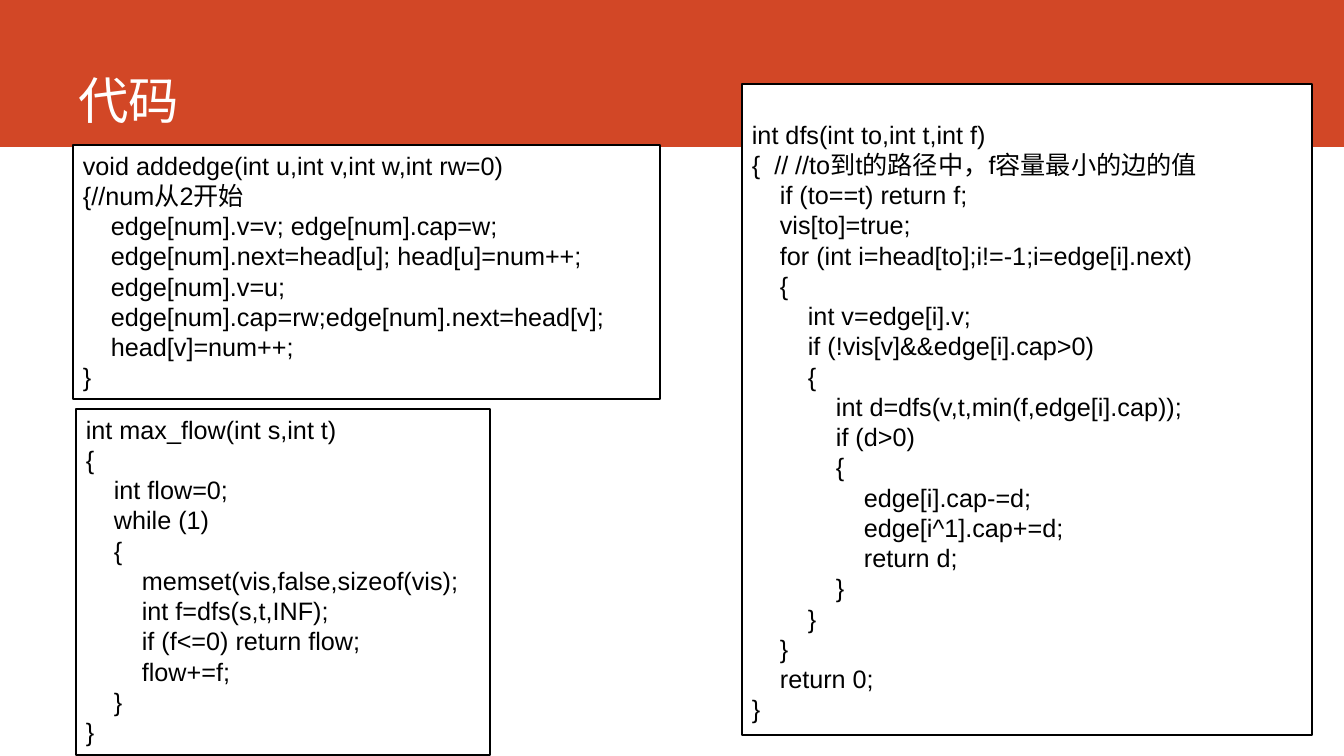
from lxml import etree
from pptx import Presentation
from pptx.dml.color import RGBColor
from pptx.enum.shapes import MSO_SHAPE
from pptx.enum.text import MSO_ANCHOR, MSO_AUTO_SIZE, PP_ALIGN
from pptx.oxml.ns import qn
from pptx.util import Emu, Pt

RECTANGLE = MSO_SHAPE.RECTANGLE
TOP, BOTTOM = MSO_ANCHOR.TOP, MSO_ANCHOR.BOTTOM
FIT_SHAPE, NO_FIT = MSO_AUTO_SIZE.SHAPE_TO_FIT_TEXT, MSO_AUTO_SIZE.NONE
LEFT = PP_ALIGN.LEFT

SCALE = 914400 / 100.8
COLORS = {"header": "D24726", "paper": "FFFFFF", "ink": "000000"}
LATIN_FONT, CHINESE_FONT = "Arial", "Noto Sans CJK SC"
INDENT_SPACES, INDENT_WIDTH = 4, 28
LINE_HEIGHT, INSET = 30, 5

ADD_EDGE = """\
void addedge(int u,int v,int w,int rw=0)
{//num从2开始
    edge[num].v=v; edge[num].cap=w;
    edge[num].next=head[u]; head[u]=num++;
    edge[num].v=u;
    edge[num].cap=rw;edge[num].next=head[v];
    head[v]=num++;
}"""

MAX_FLOW = """\
int max_flow(int s,int t)
{
    int flow=0;
    while (1)
    {
        memset(vis,false,sizeof(vis);
        int f=dfs(s,t,INF);
        if (f<=0) return flow;
        flow+=f;
    }
}"""

DEPTH_FIRST_SEARCH = """\
int dfs(int to,int t,int f)
{  // //to到t的路径中，f容量最小的边的值
    if (to==t) return f;
    vis[to]=true;
    for (int i=head[to];i!=-1;i=edge[i].next)
    {
        int v=edge[i].v;
        if (!vis[v]&&edge[i].cap>0)
        {
            int d=dfs(v,t,min(f,edge[i].cap));
            if (d>0)
            {
                edge[i].cap-=d;
                edge[i^1].cap+=d;
                return d;
            }
        }
    }
    return 0;
}"""


def pixels(length):
    """Turn whole pixels into EMU."""
    return Emu(round(length * SCALE))


def apply_format(target, values):
    """Set each attribute of target from a dict of format values."""
    for name, value in values.items():
        setattr(target, name, value)


class SlideBuilder:
    """Holds the style and the current slide."""

    def __init__(self, slide):
        self.slide = slide

    def place(self, shape, box):
        """Move a shape to left, top, width, height in pixels."""
        names = ("left", "top", "width", "height")
        apply_format(shape, dict(zip(names, map(pixels, box))))

    def add_text(self, paragraph, text, size, color, latin=LATIN_FONT):
        """Add one run with its Latin and Chinese fonts."""
        run = paragraph.add_run()
        run.text = text
        apply_format(run.font, {"size": Pt(size), "name": latin})
        run.font.color.rgb = RGBColor.from_string(COLORS[color])
        east_asian = etree.Element(qn("a:ea"), typeface=CHINESE_FONT)
        run.font._element.find(qn("a:latin")).addnext(east_asian)

    def rectangle(self, box, fill, line=None):
        """Add a flat rectangle, outlined when a line colour is given."""
        shape = self.slide.shapes.add_shape(RECTANGLE, *map(pixels, box))
        shape.shadow.inherit = False
        shape.fill.solid()
        shape.fill.fore_color.rgb = RGBColor.from_string(COLORS[fill])
        if line:
            shape.line.color.rgb = RGBColor.from_string(COLORS[line])
            shape.line.width = Pt(1)
        else:
            shape.line.fill.background()
        return shape

    def header(self, box):
        """Add the header band behind everything else."""
        band = self.rectangle(box, "header")
        self.slide.shapes._spTree.insert(2, band._element)

    def title(self, text, box):
        """Fill the title placeholder."""
        title = self.slide.shapes.title
        self.place(title, box)
        apply_format(title.text_frame, {"vertical_anchor": BOTTOM, "auto_size": NO_FIT})
        paragraph = title.text_frame.paragraphs[0]
        paragraph.alignment = LEFT
        self.add_text(paragraph, text, 36, "paper", CHINESE_FONT)

    def code(self, source, box, lead=0):
        """Add a code box, indented by depth, with lead pixels above the text."""
        frame = self.rectangle(box, "paper", "ink").text_frame
        apply_format(frame, {
            "word_wrap": True, "auto_size": FIT_SHAPE, "vertical_anchor": TOP,
            "margin_top": pixels(INSET + lead), "margin_bottom": pixels(INSET),
        })
        for number, line in enumerate(source.splitlines()):
            paragraph = frame.add_paragraph() if number else frame.paragraphs[0]
            paragraph.alignment = LEFT
            text = line.lstrip()
            depth = (len(line) - len(text)) // INDENT_SPACES
            indent = pixels(depth * INDENT_WIDTH)
            paragraph._p.get_or_add_pPr().set("marL", str(indent))
            self.add_text(paragraph, text, 18, "ink")


def main():
    """Build and save the slide."""
    presentation = Presentation()
    presentation.slide_width, presentation.slide_height = pixels(1344), pixels(756)
    slide = presentation.slides.add_slide(presentation.slide_layouts[5])
    builder = SlideBuilder(slide)
    builder.header((0, 0, 1344, 147))
    builder.title("代码", (68, 0, 1184, 135))
    builder.code(DEPTH_FIRST_SEARCH, (742, 84, 570, 651), lead=LINE_HEIGHT)
    builder.code(ADD_EDGE, (73, 145, 587, 254))
    builder.code(MAX_FLOW, (76, 409, 414, 346))
    presentation.save("out.pptx")


main()
